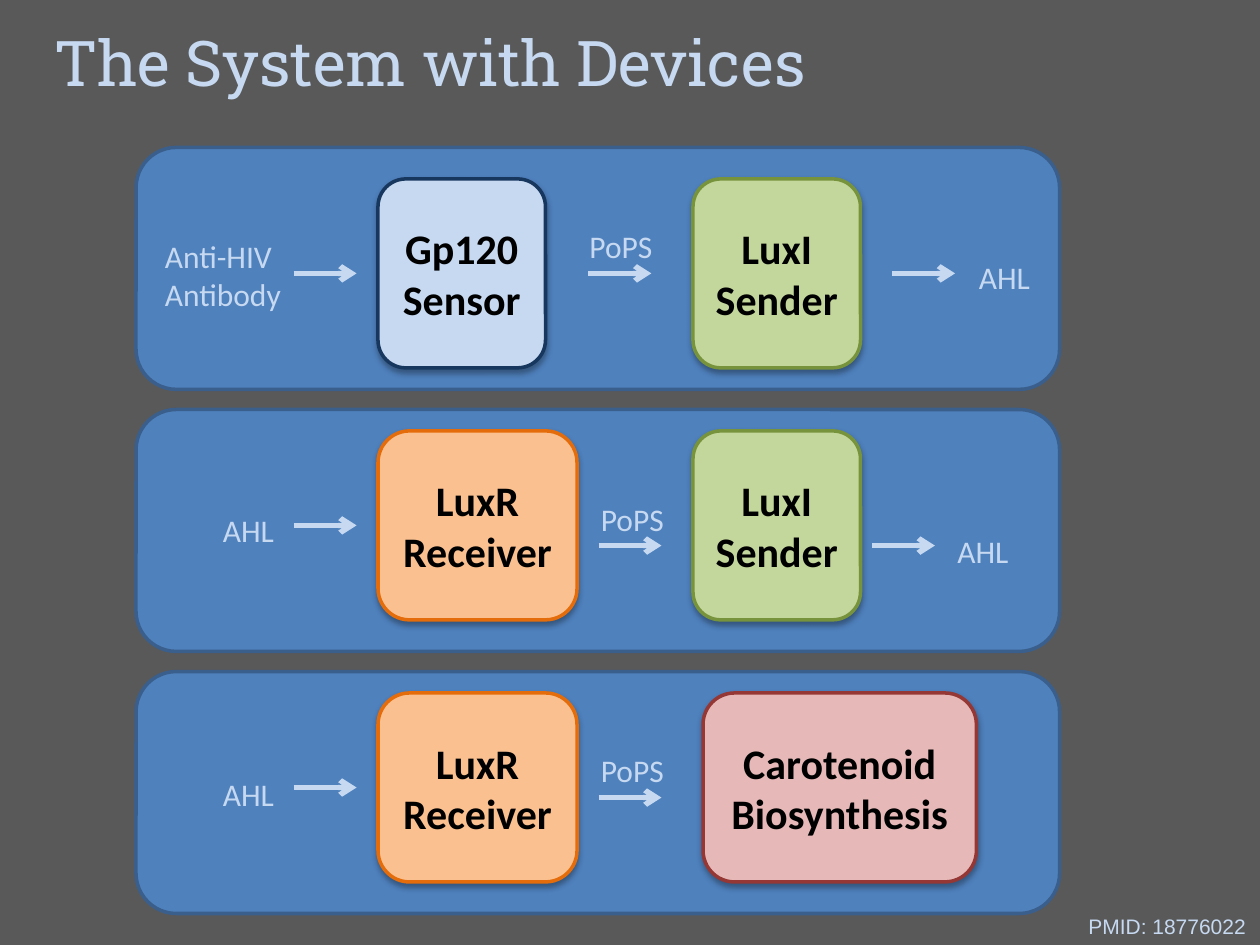
from dataclasses import dataclass

from lxml.etree import SubElement
from pptx import Presentation
from pptx.dml.color import RGBColor
from pptx.enum.shapes import MSO_CONNECTOR, MSO_SHAPE
from pptx.enum.text import MSO_ANCHOR, MSO_AUTO_SIZE, PP_ALIGN
from pptx.oxml.ns import qn
from pptx.util import Inches, Pt


@dataclass(frozen=True)
class Theme:
    background: str = "595959"
    pale: str = "C6D9F1"
    ink: str = "000000"
    panel: tuple = ("4F81BD", "3A5F8C")
    sensor: tuple = ("C6D9F1", "17375E")
    sender: tuple = ("C3D69B", "77933C")
    receiver: tuple = ("FAC090", "E46C0A")
    product: tuple = ("E6B9B8", "953735")
    title_font: str = "Roboto Slab"
    body_font: str = "Calibri"
    source_font: str = "Arial"
    title_size: int = 36
    device_size: int = 24
    label_size: int = 18
    source_size: int = 12
    outline: int = 2
    arrow: int = 3


class DeviceSlide:
    def __init__(self, presentation, theme):
        self.theme = theme
        self.slide = presentation.slides.add_slide(presentation.slide_layouts[5])
        fill = self.slide.background.fill
        fill.solid()
        fill.fore_color.rgb = RGBColor.from_string(theme.background)

    def set_text(self, frame, text, font, size, color, bold=False, align=PP_ALIGN.LEFT):
        frame.text = text
        paragraph = frame.paragraphs[0]
        paragraph.alignment = align
        for run in paragraph.runs:
            run.font.name = font
            run.font.size = Pt(size)
            run.font.bold = bold
            run.font.color.rgb = RGBColor.from_string(color)

    def title(self, text, left, top, width, height):
        heading = self.slide.shapes.title
        heading.left, heading.top = Inches(left), Inches(top)
        heading.width, heading.height = Inches(width), Inches(height)
        frame = heading.text_frame
        frame.auto_size = MSO_AUTO_SIZE.NONE
        frame.vertical_anchor = MSO_ANCHOR.TOP
        self.set_text(frame, text, self.theme.title_font, self.theme.title_size, self.theme.pale)

    def text(self, text, left, top, width, height, font, size, wrap=True):
        box = self.slide.shapes.add_textbox(
            Inches(left), Inches(top), Inches(width), Inches(height))
        box.text_frame.word_wrap = wrap
        self.set_text(box.text_frame, text, font, size, self.theme.pale)

    def label(self, text, left, top, width=0.75, height=0.4):
        self.text(text, left, top, width, height, self.theme.body_font, self.theme.label_size)

    def rounded(self, left, top, width, height, colors):
        shape = self.slide.shapes.add_shape(
            MSO_SHAPE.ROUNDED_RECTANGLE,
            Inches(left), Inches(top), Inches(width), Inches(height))
        fill, outline = colors
        shape.fill.solid()
        shape.fill.fore_color.rgb = RGBColor.from_string(fill)
        shape.line.color.rgb = RGBColor.from_string(outline)
        shape.line.width = Pt(self.theme.outline)
        shape.shadow.inherit = False
        return shape

    def panel(self, top):
        self.rounded(1.08, top, 7.33, 1.92, self.theme.panel)

    def device(self, text, left, top, width, colors):
        shape = self.rounded(left, top, width, 1.5, colors)
        effects = shape._element.spPr.find(qn("a:effectLst"))
        shadow = SubElement(
            effects, qn("a:outerShdw"), blurRad=str(Pt(3.5)), dist=str(Pt(2.2)),
            dir="5400000", rotWithShape="0")
        color = SubElement(shadow, qn("a:srgbClr"), val=self.theme.ink)
        SubElement(color, qn("a:alpha"), val="32000")
        frame = shape.text_frame
        frame.word_wrap = True
        frame.vertical_anchor = MSO_ANCHOR.MIDDLE
        self.set_text(frame, text, self.theme.body_font, self.theme.device_size,
                      self.theme.ink, bold=True, align=PP_ALIGN.CENTER)

    def arrow(self, left, top, length=0.5):
        connector = self.slide.shapes.add_connector(
            MSO_CONNECTOR.STRAIGHT,
            Inches(left), Inches(top), Inches(left + length), Inches(top))
        connector.line.color.rgb = RGBColor.from_string(self.theme.pale)
        connector.line.width = Pt(self.theme.arrow)
        properties = connector._element.spPr
        SubElement(properties.find(qn("a:ln")), qn("a:tailEnd"), type="arrow")
        SubElement(properties, qn("a:effectLst"))


def main():
    presentation = Presentation()
    presentation.slide_width, presentation.slide_height = Inches(10), Inches(7.5)
    theme = Theme()
    slide = DeviceSlide(presentation, theme)

    slide.title("The System with Devices", 0.33, 0.14, 9.42, 0.71)
    for row in range(3):
        slide.panel(1.17 + 2.08 * row)
    slide.text("PMID: 18776022", 8.54, 7.2, 1.46, 0.3,
               theme.source_font, theme.source_size, wrap=False)

    sensor = ("Gp120 Sensor", 3, 1.33, theme.sensor)
    receiver = ("LuxR Receiver", 3, 1.58, theme.receiver)
    sender = ("LuxI Sender", 5.5, 1.33, theme.sender)
    product = ("Carotenoid Biosynthesis", 5.58, 2.17, theme.product)
    for top, devices in (
        (1.42, (sensor, sender)),
        (3.42, (receiver, sender)),
        (5.5, (receiver, product)),
    ):
        for name, left, width, colors in devices:
            slide.device(name, left, top, width, colors)
        slide.arrow(2.33, top + 0.75)

    for left, top in ((4.67, 2.17), (7.08, 2.17), (4.75, 4.33), (6.92, 4.33), (4.75, 6.33)):
        slide.arrow(left, top)

    slide.label("Anti-HIV Antibody", 1.21, 1.83, 1.62, 0.7)
    for signal, positions in (
        ("PoPS", ((4.58, 1.75), (4.67, 3.92), (4.67, 5.91))),
        ("AHL", ((7.67, 2), (7.5, 4.17), (1.67, 4.01), (1.67, 6.1))),
    ):
        for left, top in positions:
            slide.label(signal, left, top)

    presentation.save("out.pptx")


if __name__ == "__main__":
    main()
